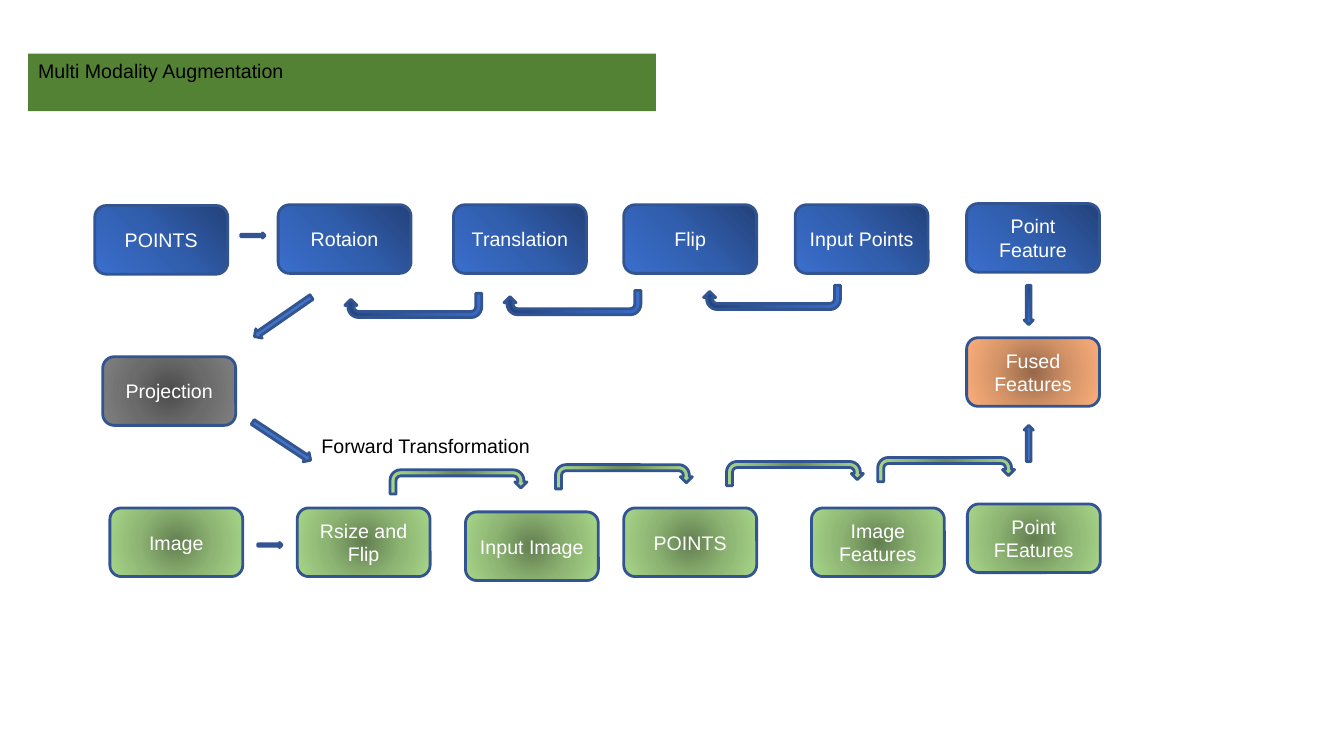
from pptx import Presentation, util as u
from pptx.dml import color
from pptx.enum import shapes, text
from pptx.oxml import ns, parse_xml

# Colours, type and line sizes; a fill is one solid colour or three stops
LINEAR = '<a:lin ang="8100000" scaled="0"/>'
RADIAL = ('<a:path path="circle">'
          '<a:fillToRect l="50000" t="50000" r="50000" b="50000"/></a:path>')
THEME = {
    "font": "Arial", "size": 14, "line": "325491", "line_width": 2,
    "light": "FFFFFF", "dark": "000000", "banner": "548235", "arrow": "4472C4",
    "blue": ("23427A", "315EAD", "3A6FCE", LINEAR),
    "green": ("637F51", "8DB473", "A8D689", RADIAL),
    "orange": ("966849", "D59468", "FDAF7B", RADIAL),
    "grey": ("4C4C4C", "6B6B6B", "808080", RADIAL),
}
KIND = shapes.MSO_SHAPE

prs = Presentation()
prs.slide_width, prs.slide_height = u.Cm(33.87), u.Cm(19.05)
slide = prs.slides.add_slide(prs.slide_layouts[6])


def write(holder, words, colour="light", align=text.PP_ALIGN.CENTER,
          anchor=text.MSO_ANCHOR.MIDDLE, wrap=True):
    frame = holder.text_frame
    frame.word_wrap, frame.vertical_anchor = wrap, anchor
    line = frame.paragraphs[0]
    line.alignment = align
    run = line.add_run()
    run.text = words
    run.font.name, run.font.size = THEME["font"], u.Pt(THEME["size"])
    run.font.color.rgb = color.RGBColor.from_string(THEME[colour])


def draw(kind, x, y, width, height, fill, rotation=0, outlined=True):
    part = slide.shapes.add_shape(kind, u.Cm(x), u.Cm(y), u.Cm(width), u.Cm(height))
    part.shadow.inherit = False
    part.rotation = rotation
    paint = THEME[fill]
    if isinstance(paint, str):
        part.fill.solid()
        part.fill.fore_color.rgb = color.RGBColor.from_string(paint)
    else:
        *tones, direction = paint
        stops = "".join(f'<a:gs pos="{i * 50000}"><a:srgbClr val="{tone}"/></a:gs>'
                        for i, tone in enumerate(tones))
        part._element.spPr.find(ns.qn("a:prstGeom")).addnext(parse_xml(
            f'<a:gradFill {ns.nsdecls("a")} rotWithShape="1">'
            f'<a:gsLst>{stops}</a:gsLst>{direction}</a:gradFill>'))
    if outlined:
        part.line.color.rgb = color.RGBColor.from_string(THEME["line"])
        part.line.width = u.Pt(THEME["line_width"])
    else:
        part.line.fill.background()
    return part


# Stages: points on top, fusion and projection between, images below
stages = [
    ("POINTS", 2.39, 5.18, "blue"),
    ("Rotaion", 7.01, 5.16, "blue"),
    ("Translation", 11.43, 5.16, "blue"),
    ("Flip", 15.72, 5.16, "blue"),
    ("Input Points", 20.04, 5.16, "blue"),
    ("Point Feature", 24.36, 5.13, "blue"),
    ("Fused Features", 24.36, 8.51, "orange"),
    ("Point FEatures", 24.38, 12.7, "green"),
    ("Image Features", 20.45, 12.8, "green"),
    ("POINTS", 15.72, 12.8, "green"),
    ("Input Image", 11.73, 12.9, "green"),
    ("Rsize and Flip", 7.49, 12.8, "green"),
    ("Image", 2.77, 12.8, "green"),
    ("Projection", 2.59, 8.99, "grey"),
]
for words, x, y, fill in stages:
    write(draw(KIND.ROUNDED_RECTANGLE, x, y, 3.35, 1.73, fill), words)

# U-turns: forward over the image row, backward under the point row
forward = [(9.83, 11.84), (14, 11.71), (18.31, 11.63), (22.12, 11.53)]
backward = [(17.73, 7.19), (12.7, 7.32), (8.69, 7.39)]
for turns, fill, rotation in ((forward, "green", 0), (backward, "blue", 180)):
    for x, y in turns:
        draw(KIND.U_TURN_ARROW, x, y, 3.45, 0.61, fill, rotation)

# Straight arrows: through the projection, into the fusion, from the inputs
draw(KIND.DOWN_ARROW, 6.99, 7.11, 0.28, 1.75, "arrow", 55.3)
draw(KIND.DOWN_ARROW, 6.96, 10.24, 0.28, 1.75, "arrow", 303.4)
draw(KIND.DOWN_ARROW, 25.81, 7.19, 0.23, 0.99, "blue")
draw(KIND.UP_ARROW, 25.81, 10.72, 0.23, 0.91, "arrow")
draw(KIND.RIGHT_ARROW, 6.5, 13.67, 0.61, 0.13, "green")
draw(KIND.RIGHT_ARROW, 6.07, 5.87, 0.61, 0.13, "blue")

# Caption and title banner
caption = slide.shapes.add_textbox(u.Cm(7.85), u.Cm(10.82), u.Cm(5.82), u.Cm(0.86))
title = draw(KIND.RECTANGLE, 0.71, 1.35, 15.82, 1.45, "banner", outlined=False)
for holder, words, wrap in ((caption, "Forward Transformation", False),
                            (title, "Multi Modality Augmentation", True)):
    write(holder, words, colour="dark", align=text.PP_ALIGN.LEFT,
          anchor=text.MSO_ANCHOR.TOP, wrap=wrap)

prs.save("out.pptx")
